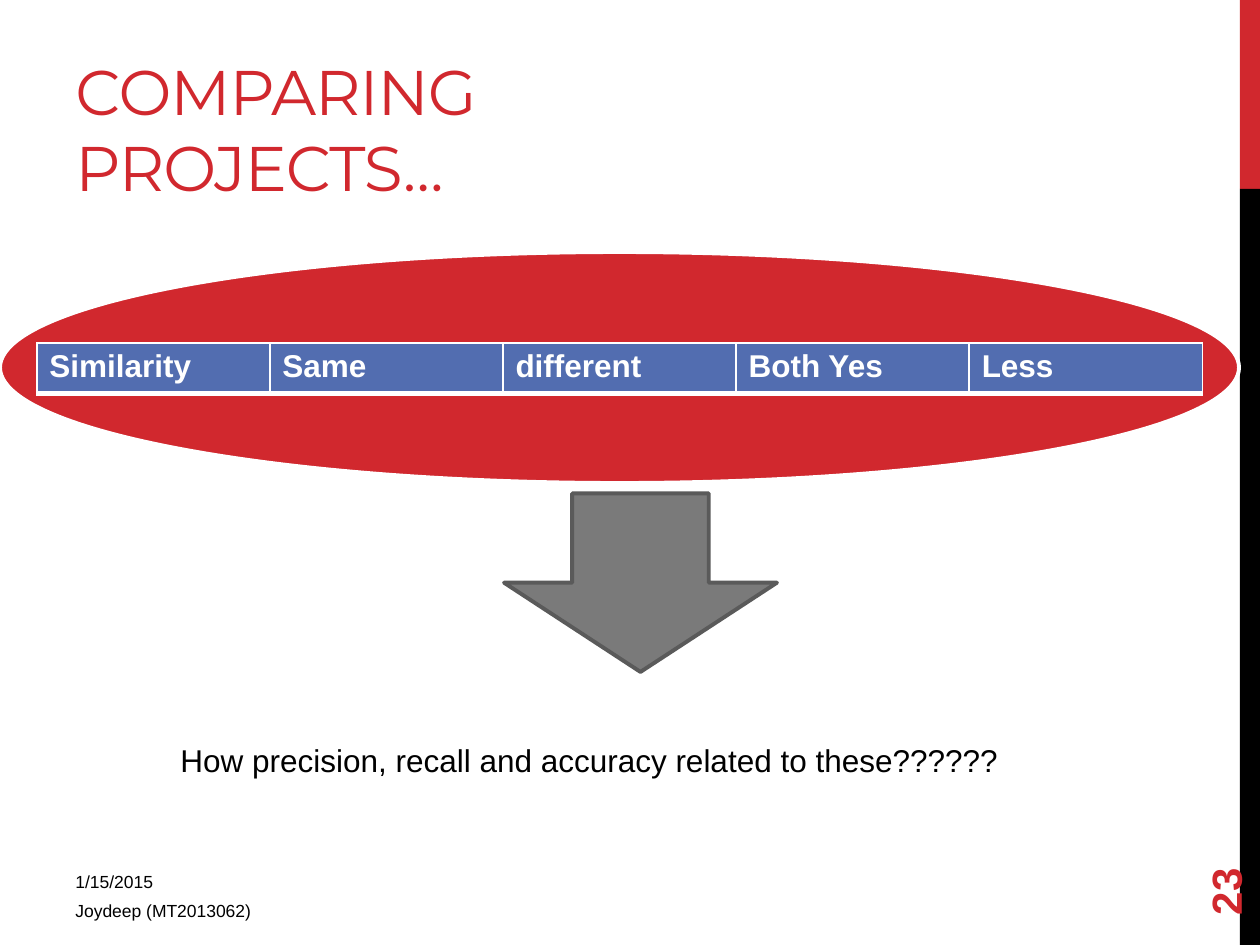
from lxml import etree
from pptx import Presentation
from pptx import util as u
from pptx.dml.color import RGBColor
from pptx.enum import shapes, text
from pptx.oxml.ns import qn

COLORS = {
    "red": "D1282E",
    "black": "000000",
    "white": "FFFFFF",
    "blue": "526DB0",
    "gray": "7A7A7A",
    "dark_gray": "5A5A5A",
}
SHAPE = shapes.MSO_SHAPE
ANCHOR = text.MSO_ANCHOR


def color(name):
    return RGBColor.from_string(COLORS[name])


class SlideBuilder:
    """Holds the style and the current slide; lengths are in points."""

    font = "Arial"

    def __init__(self, slide):
        self.slide = slide

    def add_run(self, paragraph, content, size, ink="black", bold=False, font=None):
        run = paragraph.add_run()
        run.text = content
        run.font.name = font or self.font
        run.font.size = u.Pt(size)
        run.font.bold = bold
        run.font.color.rgb = color(ink)
        return run

    def add_shape(self, kind, box, fill, line=None):
        shape = self.slide.shapes.add_shape(kind, *map(u.Pt, box))
        shape.shadow.inherit = False
        shape.fill.solid()
        shape.fill.fore_color.rgb = color(fill)
        if line:
            shape.line.color.rgb = color(line)
            shape.line.width = u.Pt(2.25)
        else:
            shape.line.fill.background()
        return shape

    def add_text(self, box, content, size, anchor=ANCHOR.TOP, spacing=0,
                 rotation=0, bottom=3.6, **style):
        shape = self.slide.shapes.add_textbox(*map(u.Pt, box))
        shape.rotation = rotation
        frame = shape.text_frame
        frame.word_wrap = True
        frame.vertical_anchor = anchor
        frame.margin_bottom = u.Pt(bottom)
        run = self.add_run(frame.paragraphs[0], content, size, **style)
        if spacing:
            run.font._element.set("spc", str(round(spacing * 100)))
        return shape

    def add_borders(self, cell, widths):
        properties = cell._tc.get_or_add_tcPr()
        for index, (side, width) in enumerate(widths.items()):
            line = etree.Element(qn(f"a:ln{side}"), w=str(u.Pt(width)))
            fill = etree.SubElement(line, qn("a:solidFill"))
            etree.SubElement(fill, qn("a:srgbClr"), val=COLORS["white"])
            properties.insert(index, line)

    def add_table(self, box, labels, size):
        frame = self.slide.shapes.add_table(1, len(labels), *map(u.Pt, box))
        for cell, label in zip(frame.table.rows[0].cells, labels):
            cell.fill.solid()
            cell.fill.fore_color.rgb = color("blue")
            self.add_run(cell.text_frame.paragraphs[0], label, size, "white", True)
            self.add_borders(cell, {"L": 1, "R": 1, "T": 1, "B": 3})
        return frame


def main():
    presentation = Presentation()
    presentation.slide_width, presentation.slide_height = u.Pt(720), u.Pt(540)
    builder = SlideBuilder(presentation.slides.add_slide(presentation.slide_layouts[6]))

    # Side band
    builder.add_shape(SHAPE.RECTANGLE, (708.5, 0, 11.5, 108), "red")
    builder.add_shape(SHAPE.RECTANGLE, (708.5, 108, 11.5, 432), "black")

    # Title
    builder.add_text((36, 12, 455.5, 108), "COMPARING PROJECTS…", 36, ANCHOR.BOTTOM,
                     spacing=-0.6, ink="red", font="Montserrat")

    # Comparison criteria on the ellipse
    builder.add_shape(SHAPE.OVAL, (0, 144, 708, 132), "red", "white")
    builder.add_table((21, 196, 666, 29),
                      ["Similarity", "Same", "different", "Both Yes", "Less"], 18)

    # Arrow leading to the question
    builder.add_shape(SHAPE.DOWN_ARROW, (288, 282, 156, 102), "gray", "dark_gray")
    question = builder.add_text(
        (96, 420, 528, 29),
        "How precision, recall and accuracy related to these??????", 18)
    question.text_frame.auto_size = text.MSO_AUTO_SIZE.SHAPE_TO_FIT_TEXT

    # Date, author and slide number
    builder.add_text((36, 486, 270, 24), "1/15/2015", 10, ANCHOR.BOTTOM, bottom=0)
    builder.add_text((36, 511, 270, 22.5), "Joydeep (MT2013062)", 10)
    builder.add_text((648, 463.5, 104, 29), "23", 24, ANCHOR.MIDDLE,
                     rotation=270, ink="red", bold=True)

    presentation.save("out.pptx")


if __name__ == "__main__":
    main()
